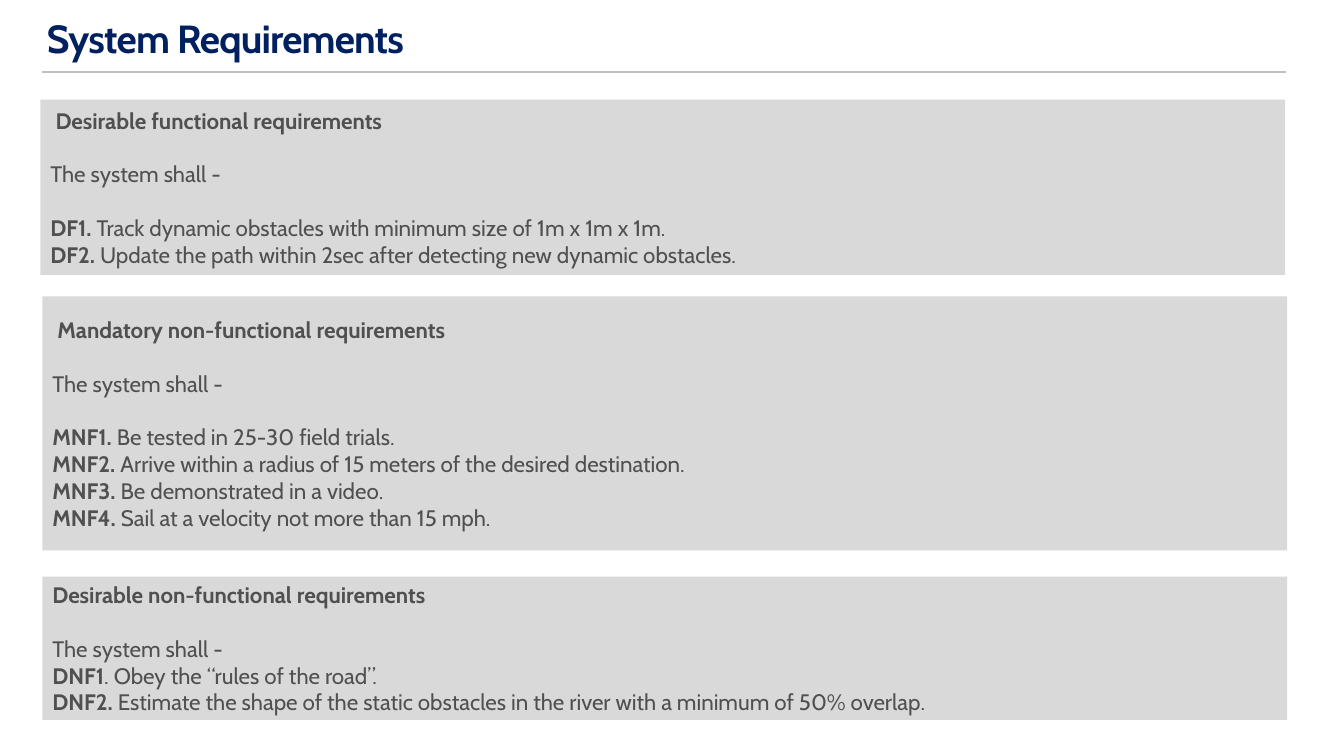
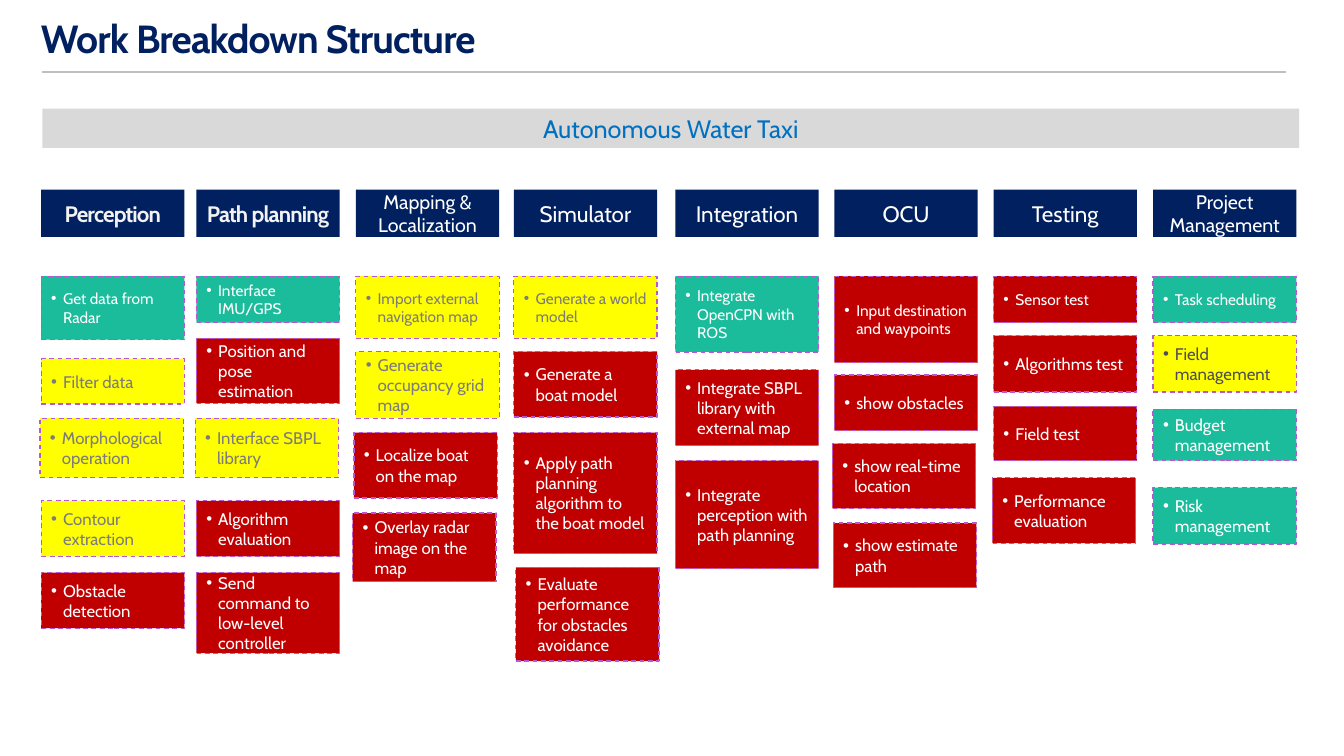
from dataclasses import dataclass

from lxml.etree import SubElement
from pptx import Presentation
from pptx.dml.color import RGBColor
from pptx.enum.dml import MSO_LINE
from pptx.enum.shapes import MSO_CONNECTOR, MSO_SHAPE
from pptx.enum.text import MSO_ANCHOR, MSO_AUTO_SIZE, PP_ALIGN
from pptx.oxml.ns import qn
from pptx.util import Cm, Pt


@dataclass(frozen=True)
class Theme:
    font: str = "Cabin"
    navy: str = "002060"
    blue: str = "0070C0"
    panel: str = "D9D9D9"
    rule: str = "BFBFBF"
    text: str = "505050"
    muted: str = "7C7C7C"
    white: str = "FFFFFF"
    off_white: str = "F2F2F2"
    teal: str = "1BBC9B"
    yellow: str = "FFFF00"
    red: str = "C00000"
    outline: str = "B957D2"
    title_size: int = 28
    banner_size: int = 18
    body_size: int = 16
    long_head_size: int = 14
    card_size: int = 12
    first_card_size: int = 11
    tight: int = -60  # letter spacing, hundredths of a point


T = Theme()


def add_run(p, text, size, color, bold=False, spacing=0):
    r = p.add_run()
    r.text = text
    r.font.name = T.font
    r.font.size = Pt(size)
    r.font.bold = bold
    r.font.color.rgb = RGBColor.from_string(color)
    if spacing:
        r.font._element.set("spc", str(spacing))


def add_box(s, left, top, width, height, fill, margins=(0.25, 0.13, 0.25, 0.13)):
    sp = s.shapes.add_shape(MSO_SHAPE.RECTANGLE, Cm(left), Cm(top), Cm(width), Cm(height))
    sp.shadow.inherit = False
    sp.fill.solid()
    sp.fill.fore_color.rgb = RGBColor.from_string(fill)
    sp.line.fill.background()
    tf = sp.text_frame
    tf.word_wrap = True
    tf.vertical_anchor = MSO_ANCHOR.MIDDLE
    tf.margin_left, tf.margin_top, tf.margin_right, tf.margin_bottom = map(Cm, margins)
    return sp


prs = Presentation()
prs.slide_width, prs.slide_height = Cm(33.87), Cm(19.05)

# Both slides: title and rule
slides = []
for title, left in (("System Requirements", 1.18), ("Work Breakdown Structure", 1.03)):
    s = prs.slides.add_slide(prs.slide_layouts[5])
    sp = s.shapes.title
    sp.left, sp.top, sp.width, sp.height = Cm(left), Cm(0), Cm(31), Cm(1.8)
    tf = sp.text_frame
    tf.auto_size = MSO_AUTO_SIZE.NONE
    tf.vertical_anchor = MSO_ANCHOR.MIDDLE
    tf.margin_left, tf.margin_top, tf.margin_right, tf.margin_bottom = Cm(0), Cm(0.43), Cm(0), Cm(0.15)
    p = tf.paragraphs[0]
    p.alignment = PP_ALIGN.LEFT
    p.line_spacing = 0.9
    add_run(p, title, T.title_size, T.navy, True, T.tight)

    rule = s.shapes.add_connector(MSO_CONNECTOR.STRAIGHT, Cm(1.07), Cm(1.82), Cm(32.41), Cm(1.82))
    rule.line.color.rgb = RGBColor.from_string(T.rule)
    rule.line.width = Pt(1.75)
    SubElement(rule._element.spPr, qn("a:effectLst"))
    slides.append(s)

requirements, breakdown = slides

# Requirement panels: left, top, height, heading indent, gap before items, heading, items
LINE_GAP = 19.2
panels = [
    (1.02, 2.51, 4.42, 0.13, LINE_GAP, "Desirable functional requirements", [
        ("DF1. ", "Track dynamic obstacles with minimum size of 1m x 1m x 1m."),
        ("DF2. ", "Update the path within 2sec after detecting new dynamic obstacles."),
    ]),
    (1.07, 7.47, 6.4, 0.13, LINE_GAP, "Mandatory non-functional requirements", [
        ("MNF1. ", "Be tested in 25-30 field trials."),
        ("MNF2. ", "Arrive within a radius of 15 meters of the desired destination."),
        ("MNF3. ", "Be demonstrated in a video."),
        ("MNF4. ", "Sail at a velocity not more than 15 mph."),
    ]),
    (1.07, 14.53, 3.61, 0, 0, "Desirable non-functional requirements", [
        ("DNF1", ". Obey the “rules of the road”."),
        ("DNF2. ", "Estimate the shape of the static obstacles in the river with a minimum of 50% overlap."),
    ]),
]
for left, top, height, indent, item_gap, heading, items in panels:
    tf = add_box(requirements, left, top, 31.37, height, T.panel, (0.25, 0, 0, 0)).text_frame
    lines = [(heading, "", 0), ("", "The system shall -", LINE_GAP)]
    lines += [(code, text, 0 if i else item_gap) for i, (code, text) in enumerate(items)]
    for i, (strong, plain, gap) in enumerate(lines):
        p = tf.add_paragraph() if i else tf.paragraphs[0]
        p.alignment = PP_ALIGN.LEFT
        if gap:
            p.space_before = Pt(gap)
        if i == 0 and indent:
            p._p.get_or_add_pPr().set("marL", str(Cm(indent)))
        for text, bold in ((strong, True), (plain, False)):
            if text:
                add_run(p, text, T.body_size, T.text, bold)

# Project banner
p = add_box(breakdown, 1.07, 2.74, 31.67, 0.99, T.panel).text_frame.paragraphs[0]
p.alignment = PP_ALIGN.CENTER
add_run(p, "Autonomous Water Taxi", T.banner_size, T.blue)

# Work packages: column left, heading, cards (text, style, top, height, shift)
CARD_WIDTH = 3.61
HEAD_TOP, HEAD_HEIGHT = 4.78, 1.19
FIRST_TOP = 6.96
styles = {
    "teal": (T.teal, T.white),
    "yellow": (T.yellow, T.muted),
    "yellow dark": (T.yellow, T.text),
    "red": (T.red, T.white),
}
bold_head = (T.body_size, T.off_white, True, T.tight)
plain_head = (T.body_size, T.white)
long_head = (T.long_head_size, T.white)
columns = [
    (1.04, "Perception", bold_head, [
        ("Get data from Radar", "teal", FIRST_TOP, 1.6, 0),
        ("Filter data", "yellow", 9.04, 1.14, 0),
        ("Morphological operation", "yellow", 10.54, 1.5, -0.03),
        ("Contour extraction", "yellow", 12.62, 1.4, 0),
        ("Obstacle detection", "red", 14.43, 1.4, 0),
    ]),
    (4.95, "Path planning", bold_head, [
        ("Interface IMU/GPS", "teal", FIRST_TOP, 1.17, 0),
        ("Position and pose estimation", "red", 8.53, 1.63, 0),
        ("Interface SBPL library", "yellow", 10.54, 1.5, -0.03),
        ("Algorithm evaluation", "red", 12.62, 1.4, 0),
        ("Send command to low-level controller", "red", 14.43, 2.03, 0),
    ]),
    (8.97, "Mapping & Localization", long_head, [
        ("Import external navigation map", "yellow", FIRST_TOP, 1.57, 0),
        ("Generate occupancy grid map", "yellow", 8.86, 1.68, 0),
        ("Localize boat on the map", "red", 10.9, 1.65, -0.05),
        ("Overlay radar image on the map", "red", 12.93, 1.73, -0.08),
    ]),
    (12.95, "Simulator", plain_head, [
        ("Generate a world model", "yellow", FIRST_TOP, 1.57, 0),
        ("Generate a boat model", "red", 8.86, 1.65, 0),
        ("Apply path planning algorithm to the boat model", "red", 10.9, 3.05, 0),
        ("Evaluate performance for obstacles avoidance", "red", 14.3, 2.36, 0.05),
    ]),
    (17.02, "Integration", plain_head, [
        ("Integrate OpenCPN with ROS", "teal", FIRST_TOP, 1.91, 0),
        ("Integrate SBPL library with external map", "red", 9.32, 1.91, 0),
        ("Integrate perception with path planning", "red", 11.61, 2.72, 0),
    ]),
    (21.03, "OCU", plain_head, [
        ("Input destination and waypoints", "red", FIRST_TOP, 2.18, 0),
        ("show obstacles", "red", 9.45, 1.4, 0),
        ("show real-time location", "red", 11.18, 1.63, -0.05),
        ("show estimate path", "red", 13.18, 1.63, -0.03),
    ]),
    (25.04, "Testing", plain_head, [
        ("Sensor test", "red", FIRST_TOP, 1.17, 0),
        ("Algorithms test", "red", 8.46, 1.42, 0),
        ("Field test", "red", 10.24, 1.37, 0),
        ("Performance evaluation", "red", 12.04, 1.65, -0.03),
    ]),
    (29.06, "Project Management", long_head, [
        ("Task scheduling", "teal", FIRST_TOP, 1.17, 0),
        ("Field management", "yellow dark", 8.46, 1.42, 0),
        ("Budget management", "teal", 10.31, 1.3, 0),
        ("Risk management", "teal", 12.29, 1.42, 0),
    ]),
]
for left, heading, head_style, cards in columns:
    p = add_box(breakdown, left, HEAD_TOP, CARD_WIDTH, HEAD_HEIGHT, T.navy).text_frame.paragraphs[0]
    p.alignment = PP_ALIGN.CENTER
    add_run(p, heading, *head_style)

    for text, style, top, height, shift in cards:
        fill, color = styles[style]
        sp = add_box(breakdown, left + shift, top, CARD_WIDTH, height, fill)
        sp.line.color.rgb = RGBColor.from_string(T.outline)
        sp.line.width = Pt(0.85)
        sp.line.dash_style = MSO_LINE.DASH
        p = sp.text_frame.paragraphs[0]
        p.alignment = PP_ALIGN.LEFT
        pPr = p._p.get_or_add_pPr()
        pPr.set("marL", str(Cm(0.3)))
        pPr.set("indent", str(-Cm(0.3)))
        SubElement(pPr, qn("a:buFont")).set("typeface", "Arial")
        SubElement(pPr, qn("a:buChar")).set("char", "•")
        add_run(p, text, T.first_card_size if top == FIRST_TOP else T.card_size, color)

prs.save("out.pptx")
